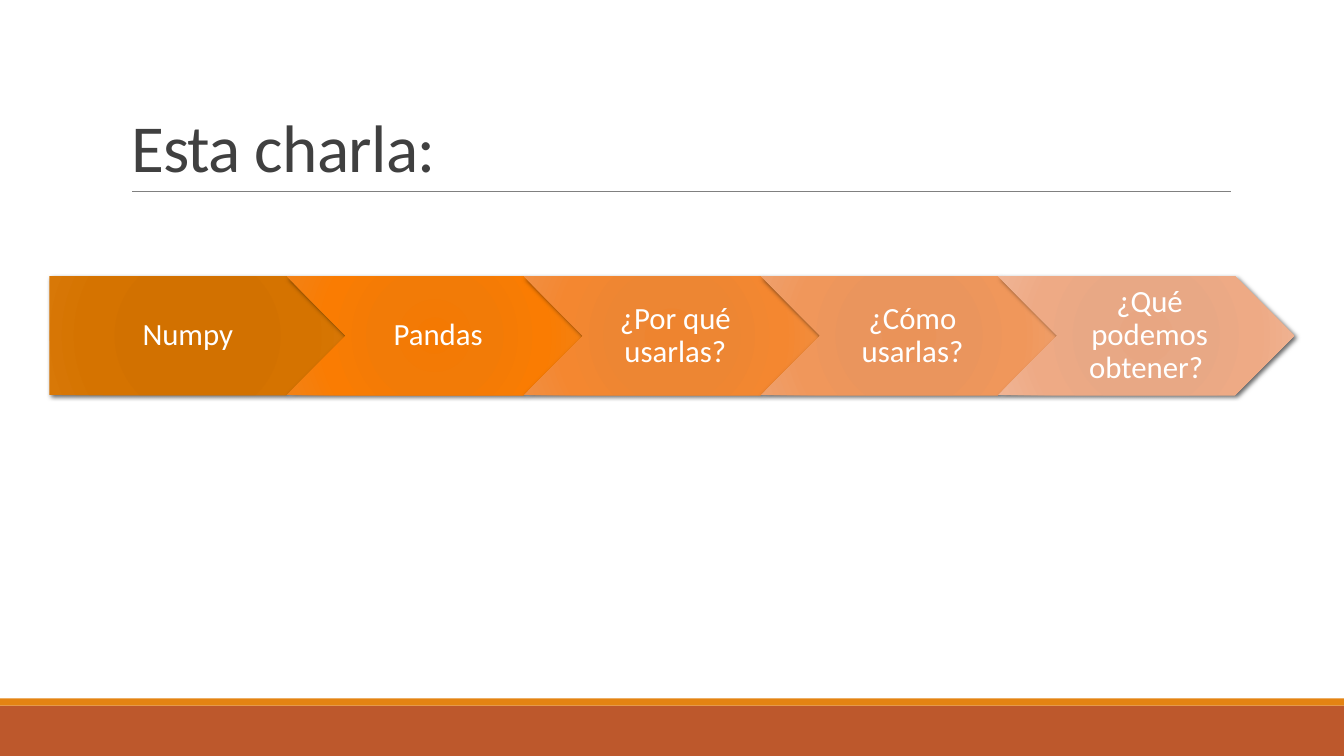
import pptx
import pptx.util
import pptx.dml.color
import pptx.enum.shapes
import pptx.enum.text
import pptx.oxml
import pptx.oxml.ns

Inches = pptx.util.Inches
RGBColor = pptx.dml.color.RGBColor
Shape = pptx.enum.shapes.MSO_SHAPE
Align = pptx.enum.text.PP_ALIGN
Anchor = pptx.enum.text.MSO_ANCHOR

WHITE = RGBColor(0xFF, 0xFF, 0xFF)
TITLE_GRAY = RGBColor(0x40, 0x40, 0x40)
RULE_GRAY = RGBColor(0x80, 0x80, 0x80)
RUST = RGBColor(0xBD, 0x58, 0x2C)
ORANGE = RGBColor(0xE4, 0x83, 0x12)
BLACK = RGBColor(0x00, 0x00, 0x00)

GRADIENT_POSITIONS = (0, 34, 70, 100)
STEPS = [
    ("Numpy", ("D07000", "D27100", "D57300", "D87807")),
    ("Pandas", ("F47902", "F27B07", "FA7C02", "F28216")),
    ("¿Por qué usarlas?", ("EE842F", "ED8633", "F48730", "F08F42")),
    ("¿Cómo usarlas?", ("EA9359", "EA955D", "F0975B", "EFA06C")),
    ("¿Qué podemos obtener? ", ("E8A682", "E8A885", "EEAA85", "F0B494")),
]
STEP_LEFT, STEP_TOP = 0.49, 2.74
STEP_WIDTH, STEP_HEIGHT = 2.94, 1.18
STEP_PITCH = STEP_WIDTH * 0.8


def drawing_element(xml):
    return pptx.oxml.parse_xml(xml.replace(">", f" {pptx.oxml.ns.nsdecls('a')}>", 1))


def write_text(shape, text, size, color, align=Align.LEFT, anchor=Anchor.MIDDLE,
               line_spacing=0.9, insets=(0.1, 0.05, 0.1, 0.05), tracking=None):
    frame = shape.text_frame
    frame.word_wrap = True
    frame.auto_size = pptx.enum.text.MSO_AUTO_SIZE.NONE
    frame.vertical_anchor = anchor
    frame.margin_left, frame.margin_top, frame.margin_right, frame.margin_bottom = map(Inches, insets)
    paragraph = frame.paragraphs[0]
    paragraph.alignment = align
    paragraph.line_spacing = line_spacing
    run = paragraph.add_run()
    run.text = text
    run.font.name = "Calibri"
    run.font.size = pptx.util.Pt(size)
    run.font.color.rgb = color
    if tracking is not None:
        run.font._element.set("spc", str(int(tracking * 100)))


def add_band(slide, top, height, color):
    band = slide.shapes.add_shape(Shape.RECTANGLE, 0, Inches(top), Inches(13.33), Inches(height))
    band.shadow.inherit = False
    band.fill.solid()
    band.fill.fore_color.rgb = color
    band.line.fill.background()


def add_title_rule(slide):
    rule = slide.shapes.add_connector(
        pptx.enum.shapes.MSO_CONNECTOR.STRAIGHT,
        Inches(1.31), Inches(1.9), Inches(12.21), Inches(1.9))
    rule.line.color.rgb = RULE_GRAY
    rule.line.width = pptx.util.Pt(0.5)
    rule._element.spPr.append(drawing_element("<a:effectLst></a:effectLst>"))


def set_title(slide, text):
    title = slide.shapes.title
    title.left, title.top = Inches(1.2), Inches(0.31)
    title.width, title.height = Inches(11), Inches(1.59)
    write_text(title, text, 48, TITLE_GRAY, anchor=Anchor.BOTTOM,
               line_spacing=0.85, tracking=-0.5)


def fill_radially(shape, colors):
    stops = "".join(
        f'<a:gs pos="{position * 1000}"><a:srgbClr val="{color}"/></a:gs>'
        for position, color in zip(GRADIENT_POSITIONS, colors))
    gradient = drawing_element(
        f'<a:gradFill><a:gsLst>{stops}</a:gsLst><a:path path="circle">'
        '<a:fillToRect l="100000" t="100000" r="100000" b="100000"/>'
        '</a:path></a:gradFill>')
    shape._element.spPr.prstGeom.addnext(gradient)


def add_drop_shadow(shape):
    shape._element.spPr.append(drawing_element(
        '<a:effectLst><a:outerShdw blurRad="44450" dist="25400" dir="2700000" rotWithShape="0">'
        f'<a:srgbClr val="{BLACK}"><a:alpha val="60000"/></a:srgbClr>'
        '</a:outerShdw></a:effectLst>'))


def add_step(slide, index, text, colors):
    first = index == 0
    step = slide.shapes.add_shape(
        Shape.PENTAGON if first else Shape.CHEVRON,
        Inches(STEP_LEFT + index * STEP_PITCH), Inches(STEP_TOP),
        Inches(STEP_WIDTH), Inches(STEP_HEIGHT))
    fill_radially(step, colors)
    step.line.fill.background()
    add_drop_shadow(step)
    write_text(step, text, 22, WHITE, align=Align.CENTER,
               insets=(0.13 if first else 0.1, 0.06, 0.03, 0.06))


def main():
    presentation = pptx.Presentation()
    presentation.slide_width = Inches(13.33)
    presentation.slide_height = Inches(7.5)
    slide = presentation.slides.add_slide(presentation.slide_layouts[5])
    add_band(slide, 7, 0.5, RUST)
    add_band(slide, 6.93, 0.07, ORANGE)
    add_title_rule(slide)
    set_title(slide, "Esta charla:")
    for index, (text, colors) in enumerate(STEPS):
        add_step(slide, index, text, colors)
    presentation.save("out.pptx")


if __name__ == "__main__":
    main()
